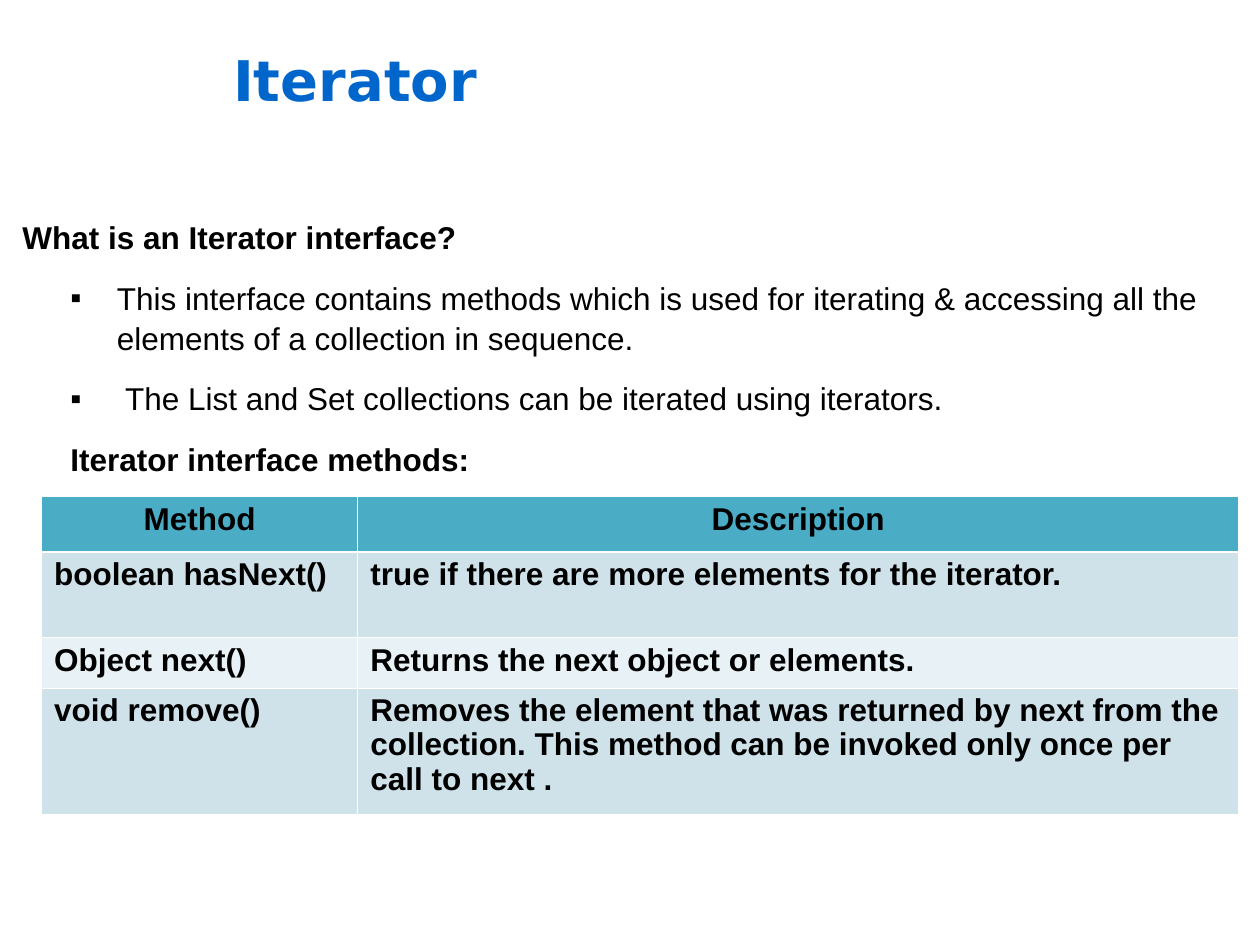
from lxml import etree
from pptx import Presentation
from pptx.dml.color import RGBColor
from pptx.enum import text
from pptx.oxml import ns
from pptx.util import Inches, Pt

BLUE = RGBColor(0x00, 0x66, 0xCC)
BLACK = RGBColor(0, 0, 0)
TEAL = RGBColor(0x4B, 0xAC, 0xC6)
BAND_DARK = RGBColor(0xCF, 0xE2, 0xEA)
BAND_LIGHT = RGBColor(0xE8, 0xF1, 0xF5)

BODY = [
    ("What is an Iterator interface?", True, False, 1, -1),
    ("This interface contains methods which is used for iterating & accessing all the "
     "elements of a collection in sequence.", False, True, 0.75, -0.37),
    (" The List and Set collections can be iterated using iterators.",
     False, True, 0.75, -0.37),
    ("Iterator interface methods:", True, False, 0.75, -0.37),
]
METHODS = [
    ("Method", "Description"),
    ("boolean hasNext()", "true if there are more elements for the iterator."),
    ("Object next()", "Returns the next object or elements."),
    ("void remove()", "Removes the element that was returned by next from the collection. "
     "This method can be invoked only once per call to next ."),
]
COL_WIDTHS = [2.51, 6.99]
ROW_HEIGHTS = [0.44, 0.68, 0.4, 1]


def add_node(parent, tag, **attrs):
    return etree.SubElement(parent, ns.qn(tag), **attrs)


def style(p, size, bold, color, name="Arial"):
    p.font.size = Pt(size)
    p.font.bold = bold
    p.font.name = name
    p.font.color.rgb = color


def set_title(slide):
    sp = slide.shapes.title
    sp.left, sp.top, sp.width, sp.height = map(Inches, (1.75, 0, 8.25, 1.25))
    tf = sp.text_frame
    tf.text = "Iterator"
    tf.vertical_anchor = text.MSO_ANCHOR.MIDDLE
    p = tf.paragraphs[0]
    p.alignment = text.PP_ALIGN.LEFT
    style(p, 32, True, BLUE, "DejaVu Sans")


def add_bullet(p):
    pPr = p._p.get_or_add_pPr()
    color = add_node(pPr, "a:buClr")
    add_node(color, "a:srgbClr", val=str(BLACK))
    add_node(pPr, "a:buFont", typeface="Arial")
    add_node(pPr, "a:buChar", char="▪")


def add_body(slide):
    sp = slide.shapes.add_textbox(*map(Inches, (0.08, 1.67, 9.58, 2.57)))
    tf = sp.text_frame
    tf.word_wrap = True
    for i, (words, bold, bulleted, margin, indent) in enumerate(BODY):
        p = tf.add_paragraph() if i else tf.paragraphs[0]
        p.text = words
        p.space_before = Pt(12)
        p.line_spacing = 1.05
        style(p, 18, bold, BLACK)
        pPr = p._p.get_or_add_pPr()
        pPr.set("marL", str(Inches(margin)))
        pPr.set("indent", str(Inches(indent)))
        if bulleted:
            add_bullet(p)


def set_borders(cell, top, bottom):
    tcPr = cell._tc.get_or_add_tcPr()
    for side, width in (("L", 0.45), ("R", 0.45), ("T", top), ("B", bottom)):
        ln = add_node(tcPr, f"a:ln{side}", w=str(Pt(width)))
        fill = add_node(ln, "a:solidFill")
        add_node(fill, "a:srgbClr", val="FFFFFF")


def fill_cell(cell, words, row):
    set_borders(cell, 1.47 if row == 1 else 0.45, 1.47 if row == 0 else 0.45)
    cell.fill.solid()
    cell.fill.fore_color.rgb = TEAL if row == 0 else BAND_DARK if row % 2 else BAND_LIGHT
    cell.text = words
    p = cell.text_frame.paragraphs[0]
    p.alignment = text.PP_ALIGN.LEFT if row else text.PP_ALIGN.CENTER
    p.line_spacing = 0.97
    style(p, 18, True, BLACK)


def add_methods(slide):
    frame = slide.shapes.add_table(
        len(METHODS), len(COL_WIDTHS), *map(Inches, (0.33, 3.94, 9.5, 2.52)))
    table = frame.table
    for column, width in zip(table.columns, COL_WIDTHS):
        column.width = Inches(width)
    for i, (height, row) in enumerate(zip(ROW_HEIGHTS, METHODS)):
        table.rows[i].height = Inches(height)
        for j, words in enumerate(row):
            fill_cell(table.cell(i, j), words, i)


def main():
    prs = Presentation()
    prs.slide_width, prs.slide_height = Inches(10), Inches(7.5)
    slide = prs.slides.add_slide(prs.slide_layouts[5])
    set_title(slide)
    add_body(slide)
    add_methods(slide)
    prs.save("out.pptx")


if __name__ == "__main__":
    main()
